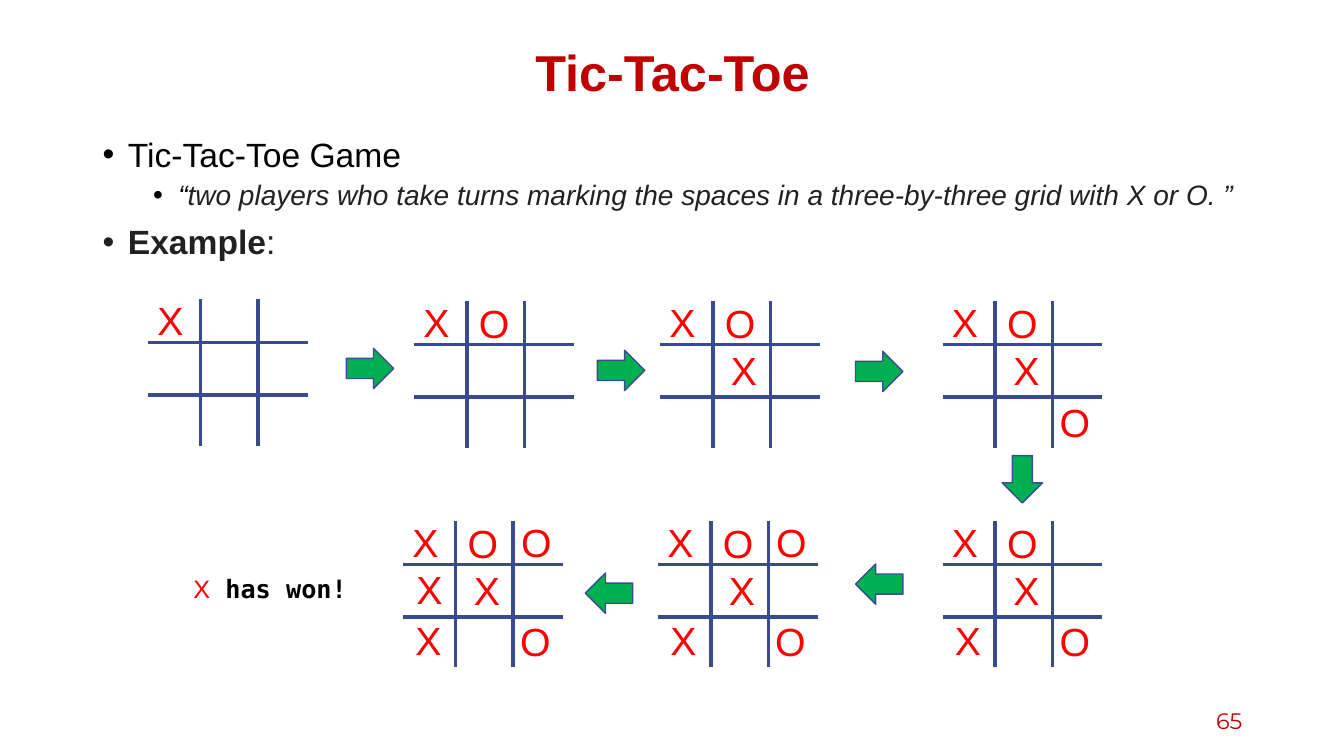
from lxml import etree
from pptx import Presentation
from pptx.dml.color import RGBColor
from pptx.enum.shapes import MSO_CONNECTOR, MSO_SHAPE
from pptx.enum.text import MSO_ANCHOR, MSO_AUTO_SIZE, PP_ALIGN
from pptx.oxml.ns import qn
from pptx.util import Pt

LINE = MSO_CONNECTOR.STRAIGHT
ARROW = MSO_SHAPE.DOWN_ARROW
MIDDLE, TOP = MSO_ANCHOR.MIDDLE, MSO_ANCHOR.TOP
GROW = MSO_AUTO_SIZE.SHAPE_TO_FIT_TEXT
LEFT, CENTER, RIGHT = PP_ALIGN.LEFT, PP_ALIGN.CENTER, PP_ALIGN.RIGHT
SCALE = 9144  # 100 px to the inch

BLACK, INK, RED, CRIMSON = "000000", "202122", "FF0000", "C00000"
GRID, GREEN, EDGE = "374A92", "00B050", "3A4C94"
MONO = "DejaVu Sans Mono"

# Mark and its offset from the board's top left corner, in order of play
MOVES = [("X", -16, -8), ("O", 41, -7), ("X", 45, 40), ("O", 93, 91),
         ("X", -13, 90), ("O", 94, -8), ("X", -12, 39)]
# Board n shows the first n moves
BOARDS = [(147, 297), (411, 299), (655, 299), (935, 299),
          (935, 517), (653, 517), (400, 517)]
# Left, top, rotation
ARROWS = [(347, 342, 270), (596, 344, 270), (852, 345, 270),
          (994, 452, 0), (852, 556, 90), (584, 565, 90)]


def px(*vals):
    return [val * SCALE for val in vals]


def color(code):
    return RGBColor.from_string(code)


def style(run, size, code, face="Arial", bold=False, italic=False):
    font = run.font
    font.name, font.size = face, Pt(size)
    font.bold, font.italic = bold, italic
    font.color.rgb = color(code)


def add_box(shapes, x, y, w, h, text="", align=LEFT, anchor=TOP):
    box = shapes.add_textbox(*px(x, y, w, h))
    frame = box.text_frame
    frame.word_wrap = True
    frame.vertical_anchor = anchor
    frame.text = text
    frame.paragraphs[0].alignment = align
    return frame


def add_run(para, text, *args, **opts):
    run = para.add_run()
    run.text = text
    style(run, *args, **opts)


def bullet(para, left, before):
    """Give a paragraph a hanging bullet and its spacing."""
    para.line_spacing = 0.9
    para.space_before = Pt(before)
    props = para._p.get_or_add_pPr()
    props.set("marL", str(left * SCALE))
    props.set("indent", str(-25 * SCALE))
    etree.SubElement(props, qn("a:buFont")).set("typeface", "Arial")
    etree.SubElement(props, qn("a:buChar")).set("char", "•")


def add_line(shapes, x1, y1, x2, y2):
    line = shapes.add_connector(LINE, *px(x1, y1, x2, y2))
    line.line.color.rgb = color(GRID)
    line.line.width = Pt(2.5)
    etree.SubElement(line._element.spPr, qn("a:effectLst"))


def add_board(slide, x, y, moves):
    shapes = slide.shapes.add_group_shape().shapes
    for dy in (43, 95):
        add_line(shapes, x, y + dy, x + 158, y + dy)
    for dx in (52, 109):
        add_line(shapes, x + dx, y + 145, x + dx, y)
    for mark, dx, dy in moves:
        frame = add_box(shapes, x + dx, y + dy, 76, 57, mark, CENTER)
        frame.auto_size = GROW
        style(frame.paragraphs[0].runs[0], 28, RED)


def add_arrow(slide, x, y, turn):
    arrow = slide.shapes.add_shape(ARROW, *px(x, y, 40, 47))
    arrow.rotation = turn
    arrow.shadow.inherit = False
    arrow.fill.solid()
    arrow.fill.fore_color.rgb = color(GREEN)
    arrow.line.color.rgb = color(EDGE)
    arrow.line.width = Pt(1)


def add_title(slide, text):
    title = slide.shapes.title
    title.left, title.top, title.width, title.height = px(92, 40, 1150, 70)
    frame = title.text_frame
    frame.text = text
    frame.vertical_anchor = MIDDLE
    para = frame.paragraphs[0]
    para.alignment, para.line_spacing = CENTER, 0.9
    style(para.runs[0], 36, CRIMSON, bold=True)


def add_body(slide):
    frame = add_box(slide.shapes, 92, 132, 1150, 140)
    game = frame.paragraphs[0]
    bullet(game, 25, 0)
    add_run(game, "Tic-Tac-Toe Game", 24, BLACK)

    quote = frame.add_paragraph()
    quote.level = 1
    bullet(quote, 75, 5)
    add_run(quote, "“", 20, BLACK, italic=True)
    add_run(quote, "two players who take turns marking the spaces in a "
            "three-by-three grid with X or O. ”", 20, INK, italic=True)

    example = frame.add_paragraph()
    bullet(example, 25, 10)
    add_run(example, "Example", 24, INK, bold=True)
    add_run(example, ":", 24, INK)


def add_result(slide):
    frame = add_box(slide.shapes, 182, 564, 190, 40)
    frame.auto_size = GROW
    para = frame.paragraphs[0]
    add_run(para, "X", 18, RED)
    add_run(para, " has won!", 18, BLACK, MONO, bold=True)


def add_number(slide, text):
    frame = add_box(slide.shapes, 942, 695, 300, 40, text, RIGHT, MIDDLE)
    style(frame.paragraphs[0].runs[0], 16, CRIMSON, "Montserrat")


def main():
    deck = Presentation()
    deck.slide_width, deck.slide_height = px(1333, 750)
    slide = deck.slides.add_slide(deck.slide_layouts[5])
    add_title(slide, "Tic-Tac-Toe")
    add_body(slide)
    add_number(slide, "65")
    for count, (x, y) in enumerate(BOARDS, 1):
        add_board(slide, x, y, MOVES[:count])
    for x, y, turn in ARROWS:
        add_arrow(slide, x, y, turn)
    add_result(slide)
    deck.save("out.pptx")


if __name__ == "__main__":
    main()
